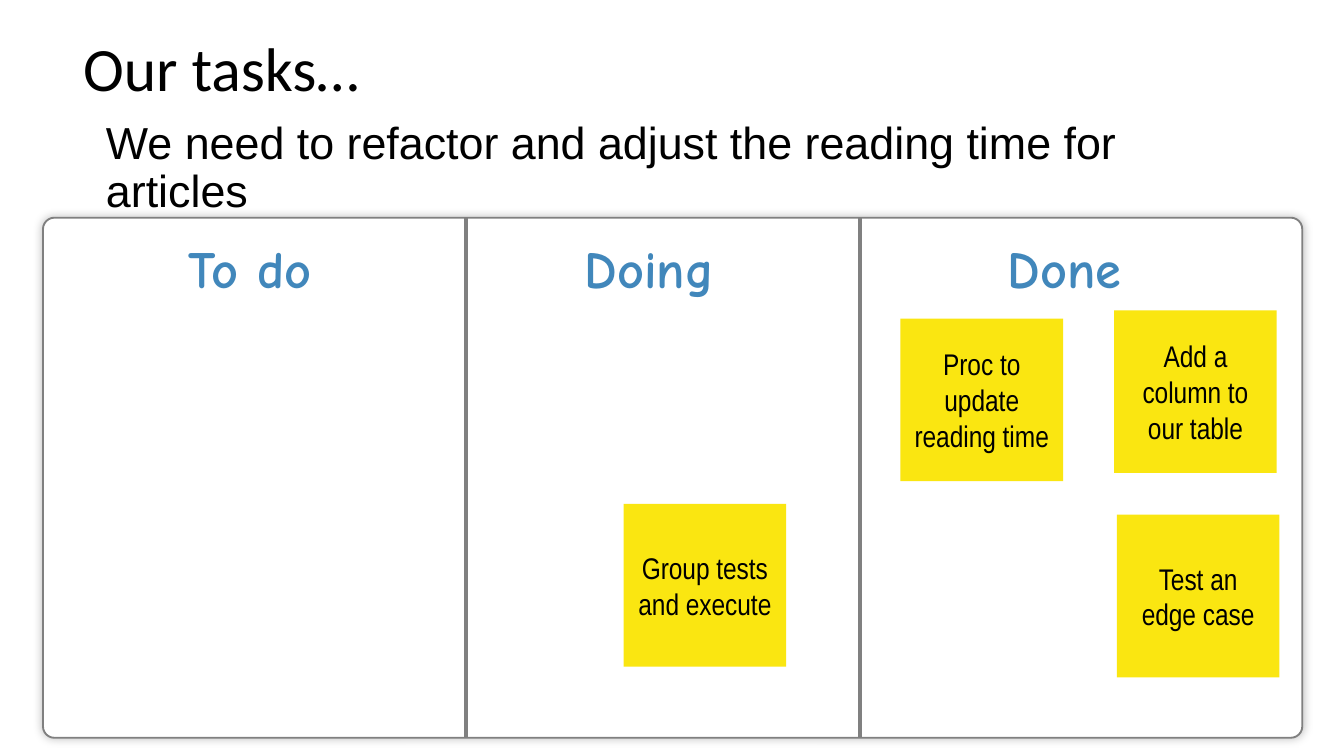
from typing import NamedTuple

from lxml import etree
from pptx import Presentation
from pptx.dml.color import RGBColor
from pptx.enum.shapes import MSO_CONNECTOR, MSO_SHAPE
from pptx.enum.text import MSO_ANCHOR, PP_ALIGN
from pptx.oxml import parse_xml
from pptx.oxml.ns import nsdecls, qn
from pptx.util import Inches, Pt

LEFT, CENTER = PP_ALIGN.LEFT, PP_ALIGN.CENTER
TOP, MIDDLE = MSO_ANCHOR.TOP, MSO_ANCHOR.MIDDLE
RECT, ROUND = MSO_SHAPE.RECTANGLE, MSO_SHAPE.ROUNDED_RECTANGLE
STRAIGHT = MSO_CONNECTOR.STRAIGHT

BLACK = RGBColor(0x00, 0x00, 0x00)
WHITE = RGBColor(0xFF, 0xFF, 0xFF)
GRAY = RGBColor(0x80, 0x80, 0x80)
BLUE = RGBColor(0x41, 0x87, 0xBB)
YELLOW = RGBColor(0xFA, 0xE6, 0x11)


class Box(NamedTuple):
    left: float
    top: float
    width: float
    height: float

    def inches(self) -> list:
        return [Inches(v) for v in self]


class Column(NamedTuple):
    name: str
    left: float  # left edge of the heading


class Note(NamedTuple):
    text: str
    left: float
    top: float


WIDE = 10
HIGH = WIDE * 9 / 16
BOARD = Box(0.32, 1.62, 9.37, 3.87)
BARS = (3.47, 6.4)
COLUMNS = (Column("To do", 1.07), Column("Doing", 4.04), Column("Done", 7.13))
SIDE = 1.21
NOTES = (
    Note("Proc to update reading time", 6.7, 2.37),
    Note("Test an edge case", 8.31, 3.83),
    Note("Group tests and execute", 4.64, 3.75),
    Note("Add a column to our table", 8.29, 2.31),
)
GLOW = (
    f'<a:effectLst {nsdecls("a")}><a:outerShdw blurRad="63500" dist="0">'
    '<a:srgbClr val="000000"><a:alpha val="25000"/></a:srgbClr>'
    "</a:outerShdw></a:effectLst>"
)


def write(shape, text: str, *, font: str, size: float, color=BLACK, bold=False,
          align=LEFT, anchor=TOP, spacing=1.0, pad=(0.1, 0.05)) -> None:
    frame = shape.text_frame
    frame.word_wrap = True
    frame.vertical_anchor = anchor
    frame.margin_left = frame.margin_right = Inches(pad[0])
    frame.margin_top = frame.margin_bottom = Inches(pad[1])
    para = frame.paragraphs[0]
    para.alignment = align
    para.line_spacing = spacing
    run = para.add_run()
    run.text = text
    run.font.name = font
    run.font.size = Pt(size)
    run.font.bold = bold
    run.font.color.rgb = color


def add_label(slide, box: Box, text: str, **style) -> None:
    write(slide.shapes.add_textbox(*box.inches()), text, **style)


def add_board(slide, box: Box) -> None:
    board = slide.shapes.add_shape(ROUND, *box.inches())
    board.adjustments[0] = 0.022
    board.fill.solid()
    board.fill.fore_color.rgb = WHITE
    board.line.color.rgb = GRAY
    board.line.width = Pt(1)
    board._element.spPr.append(parse_xml(GLOW))


def add_bar(slide, x: float) -> None:
    ends = Box(x, BOARD.top, x, BOARD.top + BOARD.height)
    bar = slide.shapes.add_connector(STRAIGHT, *ends.inches())
    bar.line.color.rgb = GRAY
    bar.line.width = Pt(2.25)
    etree.SubElement(bar._element.spPr, qn("a:effectLst"))


def add_note(slide, note: Note) -> None:
    box = Box(note.left, note.top, SIDE, SIDE)
    card = slide.shapes.add_shape(RECT, *box.inches())
    card.shadow.inherit = False
    card.fill.solid()
    card.fill.fore_color.rgb = YELLOW
    card.line.fill.background()
    write(card, note.text, font="Arial Narrow", size=16, align=CENTER, anchor=MIDDLE)


def main() -> None:
    deck = Presentation()
    deck.slide_width, deck.slide_height = Inches(WIDE), Inches(HIGH)
    slide = deck.slides.add_slide(deck.slide_layouts[6])

    # Title and goal
    add_label(slide, Box(0.52, -0.01, 8.62, 1.09), "Our tasks…",
              font="Calibri", size=33, anchor=MIDDLE, spacing=0.9)
    add_label(slide, Box(0.69, 0.85, 8.62, 1.15),
              "We need to refactor and adjust the reading time for articles",
              font="Arial", size=24, spacing=0.9)

    # Board with its columns
    add_board(slide, BOARD)
    for x in BARS:
        add_bar(slide, x)
    for column in COLUMNS:
        add_label(slide, Box(column.left, 1.72, 1.58, 0.55), column.name,
                  font="Comic Neue", size=28, color=BLUE, bold=True,
                  align=CENTER, pad=(0.07, 0.04))

    # Sticky notes
    for note in NOTES:
        add_note(slide, note)

    deck.save("out.pptx")


if __name__ == "__main__":
    main()
